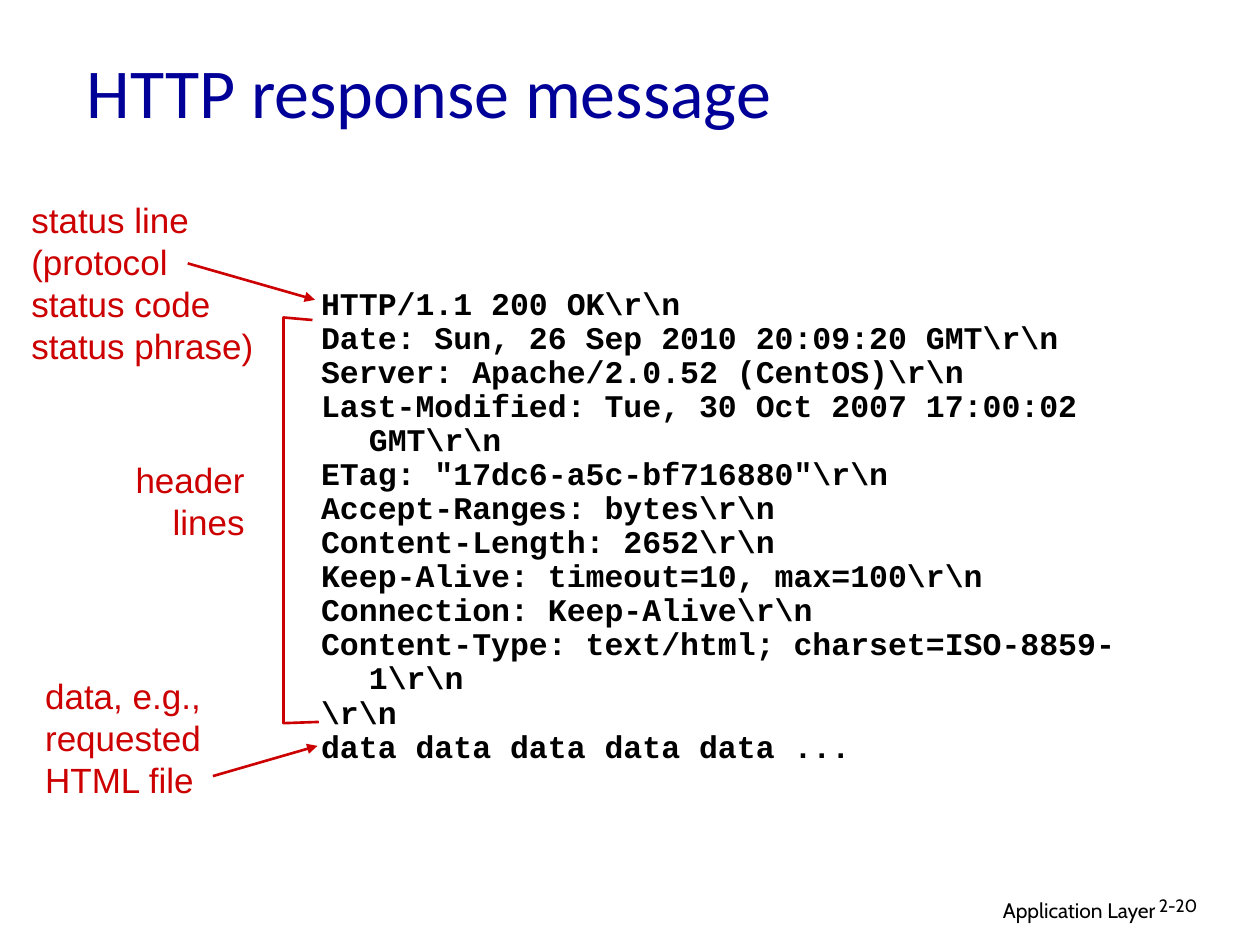
"""Build the HTTP response message slide with its annotated parts."""
from dataclasses import dataclass

from lxml.etree import SubElement
from pptx import Presentation
from pptx.dml.color import RGBColor as RGB
from pptx.enum.shapes import MSO_CONNECTOR as CONN
from pptx.enum.text import MSO_ANCHOR as ANCHOR, PP_ALIGN as ALIGN
from pptx.oxml.ns import qn
from pptx.util import Inches, Pt


@dataclass(frozen=True)
class Style:
    font: str
    size: float
    color: str
    bold: bool = False
    spacing: float = 1.0
    hanging: float = 0


@dataclass(frozen=True)
class Theme:
    title: Style = Style("Calibri", 40, "000099")
    label: Style = Style("Arial", 20, "CC0000")
    code: Style = Style("Courier New", 18, "000000", True, 0.9, 3.8)
    footer: Style = Style("Cabin", 12, "000000")
    number: Style = Style("Cabin", 10.2, "000000", spacing=0.9)
    line: str = "CC0000"
    line_width: float = 1.5


THEME = Theme()
WIDTH, HEIGHT = Inches(10), Inches(7.5)

TITLE = "HTTP response message"
RESPONSE = [
    r"HTTP/1.1 200 OK\r\n",
    r"Date: Sun, 26 Sep 2010 20:09:20 GMT\r\n",
    r"Server: Apache/2.0.52 (CentOS)\r\n",
    r"Last-Modified: Tue, 30 Oct 2007 17:00:02 GMT\r\n",
    r'ETag: "17dc6-a5c-bf716880"\r\n',
    r"Accept-Ranges: bytes\r\n",
    r"Content-Length: 2652\r\n",
    r"Keep-Alive: timeout=10, max=100\r\n",
    r"Connection: Keep-Alive\r\n",
    r"Content-Type: text/html; charset=ISO-8859-1\r\n",
    r"\r\n",
    "data data data data data ...",
]
LABELS = [
    (["status line", "(protocol", "status code", "status phrase)"],
     (1.5, 20.4, 20.5, 19.2), ALIGN.LEFT),
    (["header", "lines"], (9.2, 47.87, 11.2, 10.27), ALIGN.RIGHT),
    (["data, e.g.,", "requested", "HTML file"],
     (2.6, 70.67, 15.6, 14.67), ALIGN.LEFT),
]
ARROWS = [((14.9, 27.87), (25, 31.73)), ((16.9, 82.13), (25.2, 78.93))]
BRACKET = [(24.8, 33.87), (22.5, 33.6), (22.5, 76.53), (25.3, 76.4)]


def x(share):
    return round(WIDTH * share / 100)


def y(share):
    return round(HEIGHT * share / 100)


def point(pos):
    return x(pos[0]), y(pos[1])


def add_text(s, lines, box, style, align=ALIGN.LEFT, anchor=ANCHOR.TOP):
    tf = s.shapes.add_textbox(*point(box[:2]), *point(box[2:])).text_frame
    tf.word_wrap, tf.vertical_anchor = True, anchor
    for i, line in enumerate(lines):
        p = tf.add_paragraph() if i else tf.paragraphs[0]
        p.alignment, p.line_spacing = align, style.spacing
        if style.hanging:
            pPr = p._p.get_or_add_pPr()
            pPr.set("marL", str(x(style.hanging)))
            pPr.set("indent", str(-x(style.hanging)))
        r = p.add_run()
        r.text = line
        r.font.name, r.font.size, r.font.bold = style.font, Pt(style.size), style.bold
        r.font.color.rgb = RGB.from_string(style.color)


def style_line(line):
    line.color.rgb = RGB.from_string(THEME.line)
    line.width = Pt(THEME.line_width)


def add_arrow(s, start, end):
    c = s.shapes.add_connector(CONN.STRAIGHT, *point(start), *point(end))
    style_line(c.line)
    SubElement(c.line._get_or_add_ln(), qn("a:tailEnd"), type="triangle")
    SubElement(c._element.spPr, qn("a:effectLst"))


def add_bracket(s, points):
    start, *rest = map(point, points)
    fb = s.shapes.build_freeform(*start)
    fb.add_line_segments(rest, close=False)
    sp = fb.convert_to_shape()
    sp.shadow.inherit = False
    sp.fill.background()
    style_line(sp.line)


def main():
    prs = Presentation()
    prs.slide_width, prs.slide_height = WIDTH, HEIGHT
    s = prs.slides.add_slide(prs.slide_layouts[6])
    add_text(s, ["Application Layer"], (61, 94.27, 31.7, 4.13), THEME.footer, ALIGN.RIGHT)
    add_text(s, ["2-20"], (91, 94.27, 7.4, 4), THEME.number)
    add_text(s, [TITLE], (5.9, 2.4, 85, 14.27), THEME.title, anchor=ANCHOR.MIDDLE)
    for lines, box, align in LABELS:
        add_text(s, lines, box, THEME.label, align)
    for start, end in ARROWS:
        add_arrow(s, start, end)
    add_bracket(s, BRACKET)
    add_text(s, RESPONSE, (24.5, 29.87, 69, 51.73), THEME.code)
    prs.save("out.pptx")


if __name__ == "__main__":
    main()
